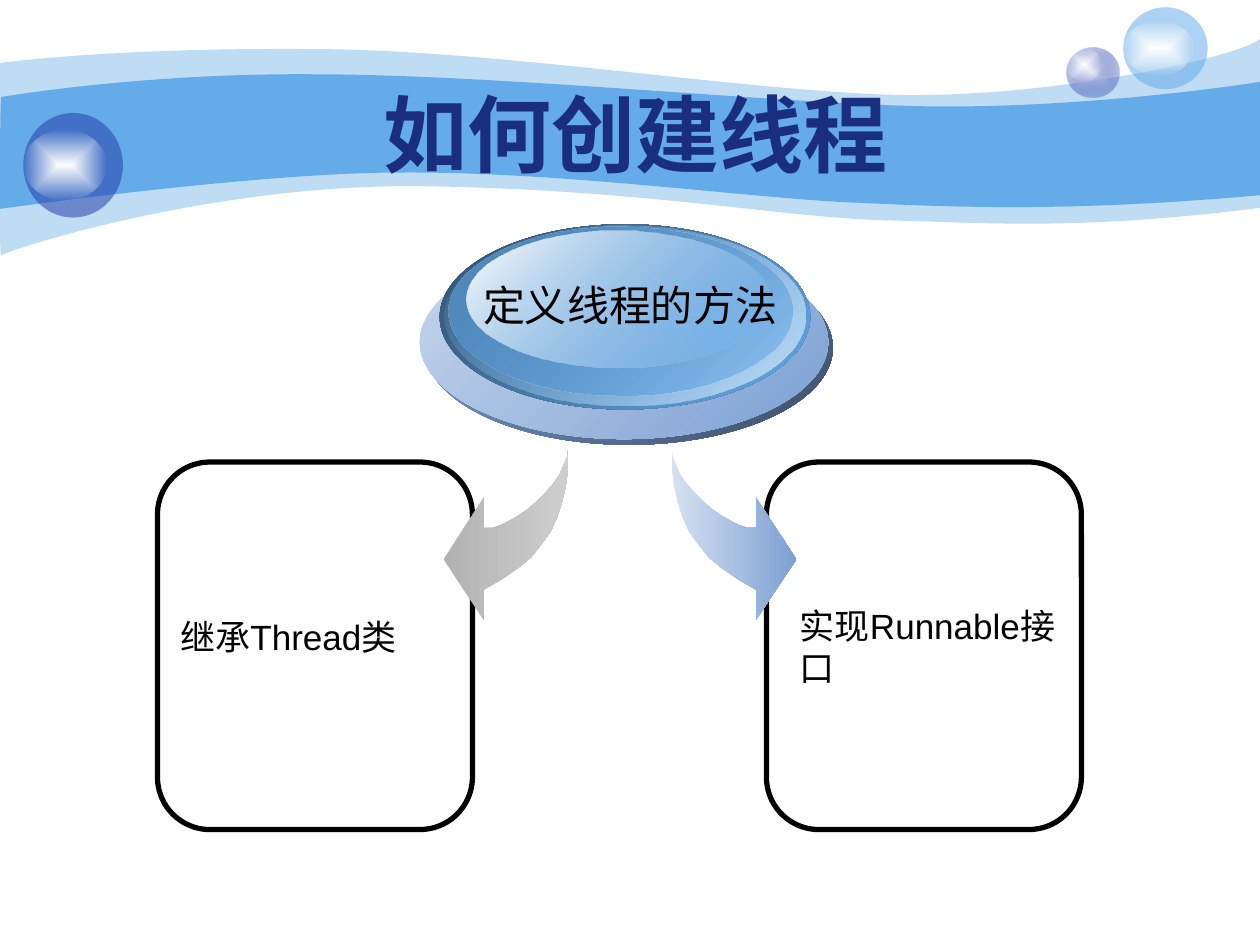
"""Build a slide on the two ways to define a thread."""
from dataclasses import dataclass

from lxml import etree
from pptx import Presentation
from pptx.dml.color import RGBColor
from pptx.enum.shapes import MSO_SHAPE
from pptx.enum.text import MSO_ANCHOR, MSO_AUTO_SIZE, PP_ALIGN
from pptx.oxml.ns import qn
from pptx.util import Inches, Pt

OVAL = MSO_SHAPE.OVAL
ROUNDED = MSO_SHAPE.ROUNDED_RECTANGLE
LEFT, CENTER = PP_ALIGN.LEFT, PP_ALIGN.CENTER
TOP, MIDDLE = MSO_ANCHOR.TOP, MSO_ANCHOR.MIDDLE
FIT = MSO_AUTO_SIZE.SHAPE_TO_FIT_TEXT
COLUMNS, ROWS = 100, 75
MIRROR_SUM = 98.4


@dataclass(frozen=True)
class Theme:
    """Colours, type sizes and fonts of the slide."""
    sky: str = "65AAE9"
    navy: str = "233DA9"
    title: str = "1A2E7F"
    steel: str = "7DA0D3"
    white: str = "FFFFFF"
    black: str = "000000"
    latin: str = "Arial"
    chinese: str = "Noto Sans CJK SC"
    title_size: int = 48
    heading_size: int = 24
    body_size: int = 20


class SlideBuilder:
    """Draw styled elements on the current slide in grid units."""

    def __init__(self, presentation, theme):
        """Add a blank slide and derive the grid cell."""
        self.theme = theme
        self.slide = presentation.slides.add_slide(presentation.slide_layouts[6])
        self.column = presentation.slide_width / COLUMNS
        self.row = presentation.slide_height / ROWS

    def point(self, x, y):
        """Turn a grid position into slide units."""
        return round(x * self.column), round(y * self.row)

    def box(self, left, top, width, height):
        """Turn a grid rectangle into slide units."""
        return *self.point(left, top), *self.point(width, height)

    def paint(self, shape, stops, angle=None):
        """Fill with one colour, a linear gradient, or a glow from the centre."""
        shape.shadow.inherit = False
        shape.line.fill.background()
        shape.fill.solid()
        solid = shape.fill._xPr.find(qn("a:solidFill"))
        if len(stops) == 1:
            solid.clear()
            self.add_color(solid, *stops[0])
            return
        gradient = etree.Element(qn("a:gradFill"), rotWithShape="1")
        stop_list = etree.SubElement(gradient, qn("a:gsLst"))
        for position, stop in zip(("0", "100000"), stops):
            self.add_color(etree.SubElement(stop_list, qn("a:gs"), pos=position), *stop)
        if angle is None:
            glow = etree.SubElement(gradient, qn("a:path"), path="rect")
            etree.SubElement(glow, qn("a:fillToRect"), dict.fromkeys("ltrb", "50000"))
        else:
            etree.SubElement(gradient, qn("a:lin"), ang=str(angle * 60000), scaled="1")
        solid.getparent().replace(solid, gradient)

    def add_color(self, parent, color, opacity=100):
        """Add a colour with its opacity in percent."""
        element = etree.SubElement(parent, qn("a:srgbClr"), val=color)
        if opacity < 100:
            etree.SubElement(element, qn("a:alpha"), val=str(opacity * 1000))

    def oval(self, area, stops, angle=None):
        """Add a filled ellipse."""
        shape = self.slide.shapes.add_shape(OVAL, *self.box(*area))
        self.paint(shape, stops, angle)

    def bubble(self, area, stops, shine):
        """Add a ball with a soft white highlight."""
        self.oval(area, stops)
        self.oval(shine, [(self.theme.white,), (self.theme.white, 0)])

    def outline(self, start, segments, stops, angle=None):
        """Add a filled outline of straight (x, y) and cubic (six-number) segments."""
        points = [self.point(*segment[i:i + 2])
                  for segment in segments for i in range(0, len(segment), 2)]
        builder = self.slide.shapes.build_freeform(*self.point(*start))
        builder.add_line_segments(points, close=True)
        shape = builder.convert_to_shape()
        lines = iter(list(shape._element.iter(qn("a:lnTo"))))
        for segment in segments:
            line = next(lines)
            if len(segment) == 6:
                curve = etree.Element(qn("a:cubicBezTo"))
                line.addprevious(curve)
                for part in (line, next(lines), next(lines)):
                    curve.append(part[0])
                    part.getparent().remove(part)
        self.paint(shape, stops, angle)

    def panel(self, area):
        """Add an empty rounded frame."""
        shape = self.slide.shapes.add_shape(ROUNDED, *self.box(*area))
        shape.shadow.inherit = False
        shape.fill.background()
        shape.line.color.rgb = RGBColor.from_string(self.theme.black)
        shape.line.width = Pt(3)

    def text(self, area, words, size, color, align=LEFT, latin=None, bold=False, anchor=TOP):
        """Add one paragraph of text."""
        frame = self.slide.shapes.add_textbox(*self.box(*area)).text_frame
        frame.word_wrap = True
        frame.vertical_anchor = anchor
        if anchor == TOP:
            frame.auto_size = FIT
        paragraph = frame.paragraphs[0]
        paragraph.alignment = align
        run = paragraph.add_run()
        run.text = words
        run.font.size = Pt(size)
        run.font.bold = bold
        run.font.color.rgb = RGBColor.from_string(color)
        run.font.name = latin or self.theme.latin
        etree.SubElement(run.font._element, qn("a:ea"), typeface=self.theme.chinese)


def draw_header(builder, theme):
    """Draw the waves, the bubbles and the title."""
    builder.outline((0, 5), [
        (2.4, 4.7, 10.7, 3.8, 24.7, 3.9), (38.6, 3.9, 57.5, 7, 69.9, 7.5),
        (82.2, 8, 98, 4.7, 100, 3.1), (100, 16.5),
        (85.8, 18.3, 78.7, 17.7, 70.5, 17.5), (62.2, 17.3, 51.5, 15.1, 34.3, 14.8),
        (17.2, 14.4, 0.4, 19.9, 0.1, 20.3), (-0.1, 20.8, 0, 7.5, 0, 5),
    ], [(theme.sky, 41)])
    builder.outline((0.1, 7.7), [
        (0.2, 7.7, 11, 5.8, 24.8, 5.9), (38.6, 5.9, 59.5, 8, 71.8, 8.4),
        (84.1, 8.8, 97.6, 6.9, 100, 6.5), (100, 15.5),
        (85.3, 16.8, 76.5, 16.5, 68.2, 16.1), (59.9, 15.8, 44.7, 13.6, 31.7, 13.7),
        (20.3, 13.7, -0.2, 16.6, -0.1, 16.6), (0, 16.6, 0, 7.7, 0.1, 7.7),
    ], [(theme.sky,)])
    builder.bubble((84.65, 3.75, 4.2, 4), [("C7CEE9",), (theme.navy, 31)], (84.65, 3.75, 2.8, 2.7))
    builder.bubble((89.15, 0.58, 6.7, 6.5), [(theme.sky, 53)], (89.15, 1.65, 5.6, 4.3))
    builder.bubble((1.85, 8.97, 7.9, 8.3), [(theme.navy, 53)], (1.85, 10.3, 6.6, 5.6))
    builder.text((10, 7.45, 80.83, 6.2), "如何创建线程", theme.title_size, theme.title,
                 CENTER, theme.chinese, True, MIDDLE)


def draw_arrows(builder, theme):
    """Draw the left arrow and its mirror image."""
    arrow = [
        (45.1, 35.6), (45.1, 37.1), (44.9, 38.6), (44.6, 39.9), (44.2, 41.1), (43.7, 42.2),
        (42.9, 43.3), (42.1, 44.3), (41.1, 45.1), (39.8, 46), (38.4, 46.8), (38.4, 49.2),
        (35.2, 44.4), (38.4, 39.5), (38.4, 41.9), (39.1, 41.9), (39.7, 41.7), (40.5, 41.3),
        (41.2, 40.9), (41.9, 40.4), (42.6, 39.8), (43.3, 39.1), (43.9, 38.4), (44.4, 37.7),
        (44.7, 37), (45, 36.3),
    ]
    mirrored = [(MIRROR_SUM - x, y) for x, y in arrow]
    builder.outline(arrow[0], arrow[1:], [("B2B2B2",), ("CECECE",)], 0)
    builder.outline(mirrored[0], mirrored[1:], [("D6E1F1",), (theme.steel,)], 0)


def draw_disc(builder, theme):
    """Draw the layered disc and its heading."""
    layers = [
        ((33.7, 19.9, 32.4, 15.4), (theme.steel,), ("3D4E67",)),
        ((33.33, 19.45, 32.4, 15.4), ("C5D5EC",), (theme.steel,)),
        ((34.9, 17.8, 29.4, 14.7), ("2F4F6C",), (theme.sky,)),
        ((35.3, 17.9, 28.6, 14.3), (theme.sky, 0), ("C9E1F7",)),
        ((35.6, 18, 27.3, 13.4), ("5087B9",), (theme.sky, 48)),
        ((37, 18.3, 24, 10.85), (theme.white,), (theme.sky, 38)),
    ]
    for area, *stops in layers:
        builder.oval(area, stops, 45)
    builder.text((36.67, 21.67, 26.67, 5), "定义线程的方法", theme.heading_size, theme.black, CENTER)


def main():
    """Build and save the presentation."""
    presentation = Presentation()
    presentation.slide_width, presentation.slide_height = Inches(10), Inches(7.5)
    theme = Theme()
    builder = SlideBuilder(presentation, theme)
    draw_header(builder, theme)
    for left in (60.83, 12.5):
        builder.panel((left, 36.67, 25, 29.17))
    builder.text((13.33, 48.33, 22.3, 4.4), "继承Thread类", theme.body_size, theme.black)
    draw_arrows(builder, theme)
    draw_disc(builder, theme)
    builder.text((62.5, 47.5, 22.3, 7.7), "实现Runnable接口", theme.body_size, theme.black)
    presentation.save("out.pptx")


if __name__ == "__main__":
    main()
